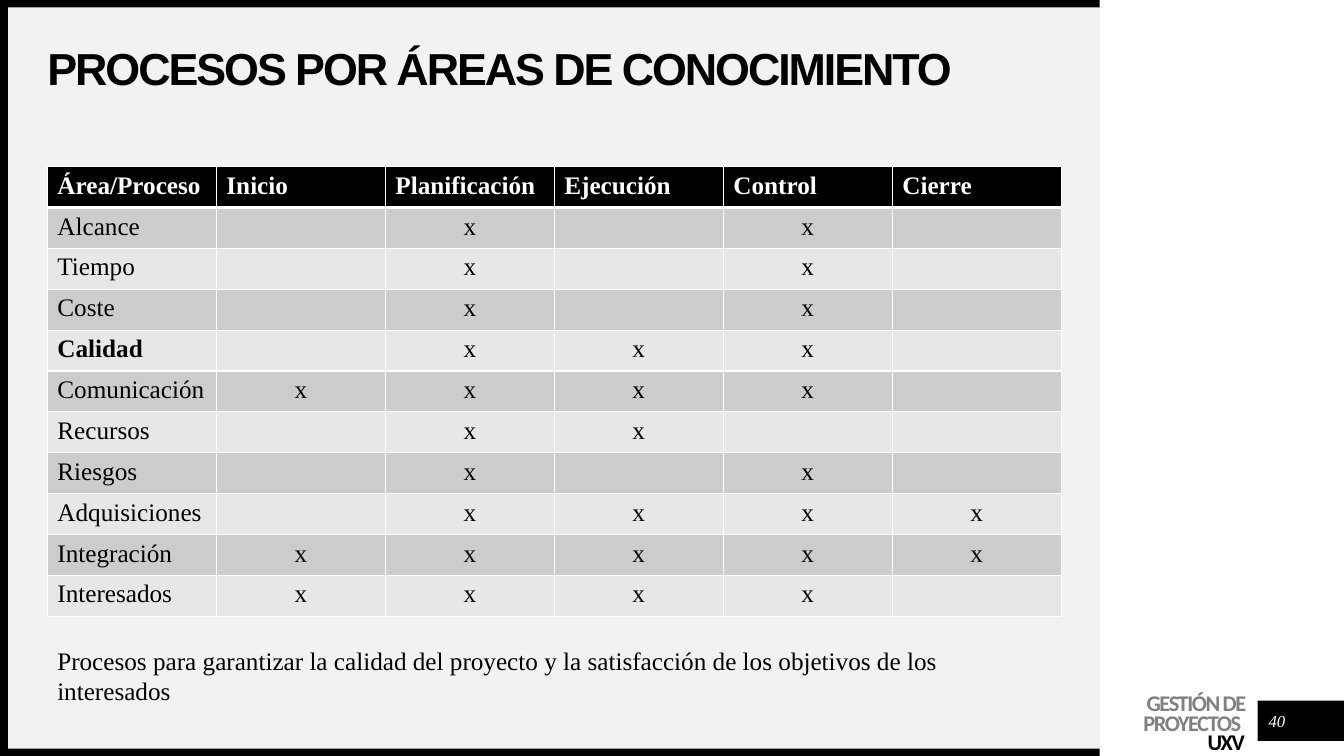
from pptx import Presentation
from pptx.dml.color import RGBColor
from pptx.enum.shapes import MSO_SHAPE
from pptx.enum.text import MSO_ANCHOR, MSO_AUTO_SIZE, PP_ALIGN
from pptx.oxml.ns import qn
from pptx.util import Pt
from lxml.etree import SubElement

# Content
TITLE = "PROCESOS POR ÁREAS DE CONOCIMIENTO"
HEADINGS = ["Área/Proceso", "Inicio", "Planificación", "Ejecución", "Control", "Cierre"]
# Each area with one mark per process group; "-" is an empty cell
AREAS = [
    ("Alcance", "-x-x-"),
    ("Tiempo", "-x-x-"),
    ("Coste", "-x-x-"),
    ("Calidad", "-xxx-"),
    ("Comunicación", "xxxx-"),
    ("Recursos", "-xx--"),
    ("Riesgos", "-x-x-"),
    ("Adquisiciones", "-xxxx"),
    ("Integración", "xxxxx"),
    ("Interesados", "xxxx-"),
]
CURRENT_AREA = "Calidad"
NOTE = ("Procesos para garantizar la calidad del proyecto y la satisfacción "
        "de los objetivos de los interesados")
COURSE = "GESTIÓN DE PROYECTOS "
SCHOOL = "UXV"
PAGE_NUMBER = "40"

THEME = {
    "black": "000000", "white": "FFFFFF", "panel": "F2F2F2", "grey": "808080",
    "bands": ("CCCCCC", "E7E7E7"),
    "title_font": "Arial", "body_font": "Times New Roman", "footer_font": "Calibri",
    "title_size": 32, "body_size": 18, "footer_size": 16, "number_size": 12,
}

# Geometry in points
WIDTH, HEIGHT = 960, 540
LEFT, CONTENT_WIDTH = 33.84, 724.3
TABLE_TOP, ROW_HEIGHT = 119, 29.2
PANEL_RIGHT, BAR = 785.6, 5.3
BLOCKS = [
    ("panel", 5.6, BAR, PANEL_RIGHT - 5.6, HEIGHT - 2 * BAR),
    ("black", 898.3, 500.4, WIDTH - 898.3, 28.8),
    ("black", 0, HEIGHT - BAR, PANEL_RIGHT, BAR),
    ("black", 0, 0, PANEL_RIGHT, BAR),
    ("black", 0, 0, 5.6, HEIGHT),
]


def color(name):
    return RGBColor.from_string(THEME.get(name, name))


def add_span(para, text, font, size, ink, bold=False, italic=False, spacing=0):
    span = para.add_run()
    span.text = text
    span.font.name = THEME[font]
    span.font.size = Pt(THEME[size])
    span.font.color.rgb = color(ink)
    span.font.bold, span.font.italic = bold, italic
    if spacing:
        span.font._element.set("spc", str(int(spacing * 100)))


def add_block(page, fill, left, top, width, height):
    block = page.shapes.add_shape(MSO_SHAPE.RECTANGLE, Pt(left), Pt(top), Pt(width), Pt(height))
    block.shadow.inherit = False
    block.fill.solid()
    block.fill.fore_color.rgb = color(fill)
    block.line.fill.background()


def set_margins(frame, left=0, top=0, right=0, bottom=0):
    frame.margin_left, frame.margin_top = Pt(left), Pt(top)
    frame.margin_right, frame.margin_bottom = Pt(right), Pt(bottom)


def add_text_frame(page, left, top, width, height):
    box = page.shapes.add_textbox(Pt(left), Pt(top), Pt(width), Pt(height))
    box.text_frame.word_wrap = True
    return box.text_frame


def set_borders(cell, top, bottom):
    properties = cell._tc.get_or_add_tcPr()
    for side, weight in (("L", 1), ("R", 1), ("T", top), ("B", bottom)):
        line = SubElement(properties, qn(f"a:ln{side}"), w=str(Pt(weight)))
        fill = SubElement(line, qn("a:solidFill"))
        SubElement(fill, qn("a:srgbClr"), val=THEME["white"])


def fill_cell(cell, row, column, text):
    header = row == 0
    set_borders(cell, top=3 if row == 1 else 1, bottom=3 if header else 1)
    cell.fill.solid()
    cell.fill.fore_color.rgb = color("black" if header else THEME["bands"][(row - 1) % 2])
    para = cell.text_frame.paragraphs[0]
    para.font.size = Pt(THEME["body_size"])
    if text == "-":
        return
    if not header and column > 0:
        para.alignment = PP_ALIGN.CENTER
    add_span(para, text, "body_font", "body_size", "white" if header else "black",
             bold=header or text == CURRENT_AREA)


def add_matrix(page):
    rows = [HEADINGS] + [[area, *marks] for area, marks in AREAS]
    table = page.shapes.add_table(len(rows), len(HEADINGS), Pt(LEFT), Pt(TABLE_TOP),
                                  Pt(CONTENT_WIDTH), Pt(ROW_HEIGHT * len(rows))).table
    for column in table.columns:
        column.width = Pt(CONTENT_WIDTH / len(HEADINGS))
    for row, texts in enumerate(rows):
        table.rows[row].height = Pt(ROW_HEIGHT)
        for column, text in enumerate(texts):
            fill_cell(table.cell(row, column), row, column, text)


def add_title(page):
    title = page.shapes.title
    title.left, title.top = Pt(LEFT), Pt(33.84)
    title.width, title.height = Pt(CONTENT_WIDTH), Pt(33.84)
    frame = title.text_frame
    frame.word_wrap = True
    frame.auto_size = MSO_AUTO_SIZE.NONE
    frame.vertical_anchor = MSO_ANCHOR.MIDDLE
    set_margins(frame)
    para = frame.paragraphs[0]
    para.alignment, para.line_spacing = PP_ALIGN.LEFT, 0.9
    add_span(para, TITLE, "title_font", "title_size", "black", bold=True, spacing=-1.5)
    # Bring the title in front of the panel
    page.shapes.element.append(title.element)


def add_footer(page):
    frame = add_text_frame(page, 758.2, 494.6, 131, 46)
    set_margins(frame, top=2.88)
    for index, (text, ink) in enumerate([(COURSE, "grey"), (SCHOOL, "black")]):
        para = frame.add_paragraph() if index else frame.paragraphs[0]
        para.alignment, para.line_spacing = PP_ALIGN.RIGHT, Pt(14)
        add_span(para, text, "footer_font", "footer_size", ink, bold=True, spacing=-1)

    # Page number
    frame = add_text_frame(page, 901.4, 504, 21.6, 21.6)
    set_margins(frame)
    frame.vertical_anchor = MSO_ANCHOR.MIDDLE
    para = frame.paragraphs[0]
    para.alignment = PP_ALIGN.CENTER
    add_span(para, PAGE_NUMBER, "body_font", "number_size", "white", italic=True)


def main():
    deck = Presentation()
    deck.slide_width, deck.slide_height = Pt(WIDTH), Pt(HEIGHT)
    page = deck.slides.add_slide(deck.slide_layouts[5])

    # Background panel and bars
    for block in BLOCKS:
        add_block(page, *block)

    # Title, table, closing note and footer
    add_title(page)
    add_matrix(page)
    note = add_text_frame(page, LEFT, 457.2, CONTENT_WIDTH, 51)
    add_span(note.paragraphs[0], NOTE, "body_font", "body_size", "black")
    add_footer(page)

    deck.save("out.pptx")


if __name__ == "__main__":
    main()
